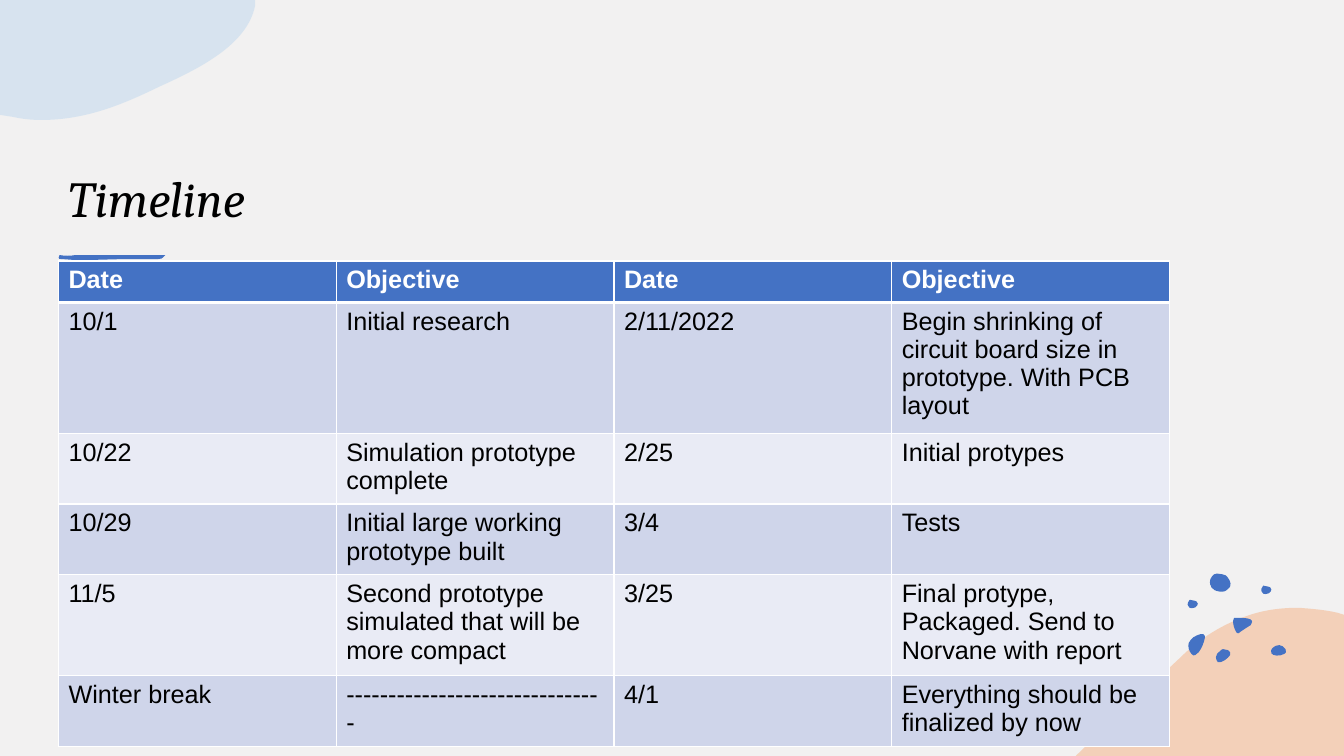
from lxml import etree
from pptx import Presentation, util as u
from pptx.dml.color import RGBColor
from pptx.enum import text
from pptx.oxml import ns

# Colours
PAPER = RGBColor(0xF2, 0xF1, 0xF1)
BLUE = RGBColor(0x44, 0x72, 0xC4)
SKY = RGBColor(0xBD, 0xD7, 0xEE)
PEACH = RGBColor(0xF4, 0xB1, 0x83)
BAND_DARK = RGBColor(0xCF, 0xD5, 0xEA)
BAND_LIGHT = RGBColor(0xE9, 0xEB, 0xF5)
WHITE = RGBColor(0xFF, 0xFF, 0xFF)
BLACK = RGBColor(0, 0, 0)

# Content
TITLE = "Timeline"
SCHEDULE = [
    ("Date", "Objective", "Date", "Objective"),
    ("10/1", "Initial research", "2/11/2022",
     "Begin shrinking of circuit board size in prototype. With PCB layout"),
    ("10/22", "Simulation prototype complete", "2/25", "Initial protypes"),
    ("10/29", "Initial large working prototype built", "3/4", "Tests"),
    ("11/5", "Second prototype simulated that will be more compact", "3/25",
     "Final protype, Packaged. Send to Norvane with report"),
    ("Winter break", "-" * 31, "4/1", "Everything should be finalized by now"),
]
ROW_HEIGHTS = [0.41, 1.22, 0.66, 0.66, 0.94, 0.66]

# Outlines in inches: a start point, then lines (2 numbers) or curves (6 numbers)
PEACH_HILL = [
    (12.88, 6.03), (13.01, 6.04, 13.14, 6.05, 13.27, 6.08), (13.33, 6.1),
    (13.33, 7.5), (10.67, 7.5), (10.68, 7.49),
    (11.02, 7.16, 11.37, 6.84, 11.69, 6.54),
    (11.91, 6.32, 12.14, 6.19, 12.37, 6.11),
    (12.54, 6.05, 12.71, 6.03, 12.88, 6.03)]
SKY_CORNER = [
    (0, 0), (2.53, 0), (2.53, 0.06), (2.45, 0.44, 2, 0.67, 1.58, 0.86),
    (1.23, 1.03, 0.86, 1.19, 0.41, 1.19), (0.31, 1.19, 0.22, 1.18, 0.13, 1.16),
    (0, 1.14), (0, 0)]
TITLE_STROKE = [
    (0.59, 2.53), (0.64, 2.54, 0.7, 2.54, 0.75, 2.53), (1.64, 2.53),
    (1.61, 2.54, 1.63, 2.57, 1.57, 2.57), (1.24, 2.57), (0.86, 2.58),
    (0.75, 2.58), (0.61, 2.57), (0.57, 2.58, 0.58, 2.54, 0.59, 2.53)]
PEBBLE = [
    (0, 0.05), (0, 0.05, 0, 0.01, 0.02, 0), (0.04, 0, 0.05, 0, 0.07, 0.01),
    (0.08, 0.01, 0.1, 0.02, 0.1, 0.04), (0.1, 0.05, 0.09, 0.07, 0.08, 0.07),
    (0.08, 0.07, 0.08, 0.08, 0.06, 0.08), (0.05, 0.08, 0.03, 0.09, 0.02, 0.08),
    (0.01, 0.06, 0, 0.06, 0, 0.05)]
SPOTS = [
    [(12.13, 6.44), (12.15, 6.44, 12.16, 6.44, 12.18, 6.45),
     (12.2, 6.46, 12.21, 6.48, 12.2, 6.5), (12.18, 6.53, 12.12, 6.58, 12.08, 6.57),
     (12.07, 6.56, 12.06, 6.54, 12.06, 6.52), (12.06, 6.5, 12.08, 6.47, 12.1, 6.46),
     (12.11, 6.45, 12.12, 6.44, 12.13, 6.44)],
    [(11.91, 6.29), (11.93, 6.29, 11.95, 6.29, 11.95, 6.31),
     (11.95, 6.32, 11.95, 6.32, 11.95, 6.33),
     (11.94, 6.38, 11.92, 6.43, 11.89, 6.47), (11.87, 6.49, 11.84, 6.52, 11.82, 6.49),
     (11.79, 6.46, 11.78, 6.41, 11.79, 6.38), (11.8, 6.35, 11.82, 6.34, 11.84, 6.32),
     (11.85, 6.32, 11.88, 6.29, 11.91, 6.29)],
    [(12.69, 6.4), (12.71, 6.4, 12.74, 6.42, 12.75, 6.44),
     (12.76, 6.46, 12.76, 6.48, 12.73, 6.49), (12.7, 6.51, 12.62, 6.51, 12.61, 6.48),
     (12.6, 6.46, 12.61, 6.44, 12.62, 6.43), (12.64, 6.41, 12.66, 6.4, 12.69, 6.4)],
    [(12.01, 5.81), (12, 5.81, 11.99, 5.75, 12.02, 5.72),
     (12.04, 5.7, 12.04, 5.69, 12.07, 5.69), (12.1, 5.69, 12.14, 5.7, 12.16, 5.71),
     (12.18, 5.73, 12.22, 5.78, 12.2, 5.82), (12.17, 5.85, 12.16, 5.87, 12.12, 5.87),
     (12.09, 5.87, 12.04, 5.86, 12.03, 5.84), (12.01, 5.83, 12.01, 5.82, 12.01, 5.81)],
    [(12.28, 6.13), (12.34, 6.13, 12.45, 6.13, 12.41, 6.19),
     (12.41, 6.2, 12.4, 6.21, 12.39, 6.21), (12.36, 6.23, 12.33, 6.25, 12.3, 6.27),
     (12.29, 6.28, 12.28, 6.29, 12.27, 6.28), (12.27, 6.28, 12.26, 6.27, 12.26, 6.27),
     (12.24, 6.23, 12.23, 6.2, 12.23, 6.16), (12.23, 6.15, 12.23, 6.14, 12.24, 6.13),
     (12.24, 6.13, 12.25, 6.13, 12.25, 6.13), (12.26, 6.13, 12.27, 6.13, 12.28, 6.13)],
]
PEBBLE_PLACES = [(12.51, 5.81), (11.78, 5.95)]

# Layout
LEFT, WIDTH = 0.58, 11.02
TITLE_TOP, TITLE_HEIGHT = 0.86, 1.45
TABLE_TOP = 2.59

deck = Presentation()
deck.slide_width, deck.slide_height = u.Inches(13.33), u.Inches(7.5)
page = deck.slides.add_slide(deck.slide_layouts[6])
page.background.fill.solid()
page.background.fill.fore_color.rgb = PAPER


def draw_outline(outline, color, opacity=100, offset=(0, 0)):
    """Draw straight lines between the anchors, then bend those that are curves."""
    steps = [[(u.Inches(x + offset[0]), u.Inches(y + offset[1]))
              for x, y in zip(step[::2], step[1::2])] for step in outline]
    anchors = [step[-1] for step in steps]
    builder = page.shapes.build_freeform(*anchors[0])
    builder.add_line_segments(anchors[1:], close=True)
    shape = builder.convert_to_shape()
    lines = list(shape._element.iter(ns.qn("a:lnTo")))
    for line, step in zip(lines, steps[1:]):
        if len(step) == 3:
            curve = etree.Element(ns.qn("a:cubicBezTo"))
            for x, y in step:
                etree.SubElement(curve, ns.qn("a:pt"),
                                 x=str(x - shape.left), y=str(y - shape.top))
            line.getparent().replace(line, curve)
    shape.shadow.inherit = False
    shape.line.fill.background()
    shape.fill.solid()
    shape.fill.fore_color.rgb = color
    if opacity < 100:
        tint = shape._element.spPr.find(".//" + ns.qn("a:srgbClr"))
        etree.SubElement(tint, ns.qn("a:alpha"), val=str(opacity * 1000))


def write(frame, words, font="Arial", size=18, color=BLACK, bold=False, italic=False):
    frame.word_wrap = True
    span = frame.paragraphs[0].add_run()
    span.text = words
    span.font.name, span.font.size = font, u.Pt(size)
    span.font.bold, span.font.italic = bold, italic
    span.font.color.rgb = color


def set_borders(cell, **widths):
    properties = cell._tc.get_or_add_tcPr()
    for side in "LRTB":
        line = etree.SubElement(properties, ns.qn("a:ln" + side),
                                w=str(u.Pt(widths.get(side, 1))))
        fill = etree.SubElement(line, ns.qn("a:solidFill"))
        etree.SubElement(fill, ns.qn("a:srgbClr"), val=str(WHITE))


# Decoration
draw_outline(PEACH_HILL, PEACH, opacity=50)
for spot in SPOTS:
    draw_outline(spot, BLUE)
for place in PEBBLE_PLACES:
    draw_outline(PEBBLE, BLUE, offset=place)
draw_outline(SKY_CORNER, SKY, opacity=50)
draw_outline(TITLE_STROKE, BLUE)

# Title
box = page.shapes.add_textbox(u.Inches(LEFT), u.Inches(TITLE_TOP),
                              u.Inches(WIDTH), u.Inches(TITLE_HEIGHT))
box.text_frame.vertical_anchor = text.MSO_ANCHOR.BOTTOM
write(box.text_frame, TITLE, font="Cambria", size=36, italic=True)

# Schedule table
table = page.shapes.add_table(
    len(SCHEDULE), len(SCHEDULE[0]), u.Inches(LEFT), u.Inches(TABLE_TOP),
    u.Inches(WIDTH), u.Inches(sum(ROW_HEIGHTS))).table
for r, (entries, height) in enumerate(zip(SCHEDULE, ROW_HEIGHTS)):
    table.rows[r].height = u.Inches(height)
    header = r == 0
    band = BLUE if header else BAND_DARK if r % 2 else BAND_LIGHT
    for c, words in enumerate(entries):
        cell = table.cell(r, c)
        set_borders(cell, T=3 if r == 1 else 1, B=3 if header else 1)
        cell.fill.solid()
        cell.fill.fore_color.rgb = band
        write(cell.text_frame, words, color=WHITE if header else BLACK, bold=header)

deck.save("out.pptx")
